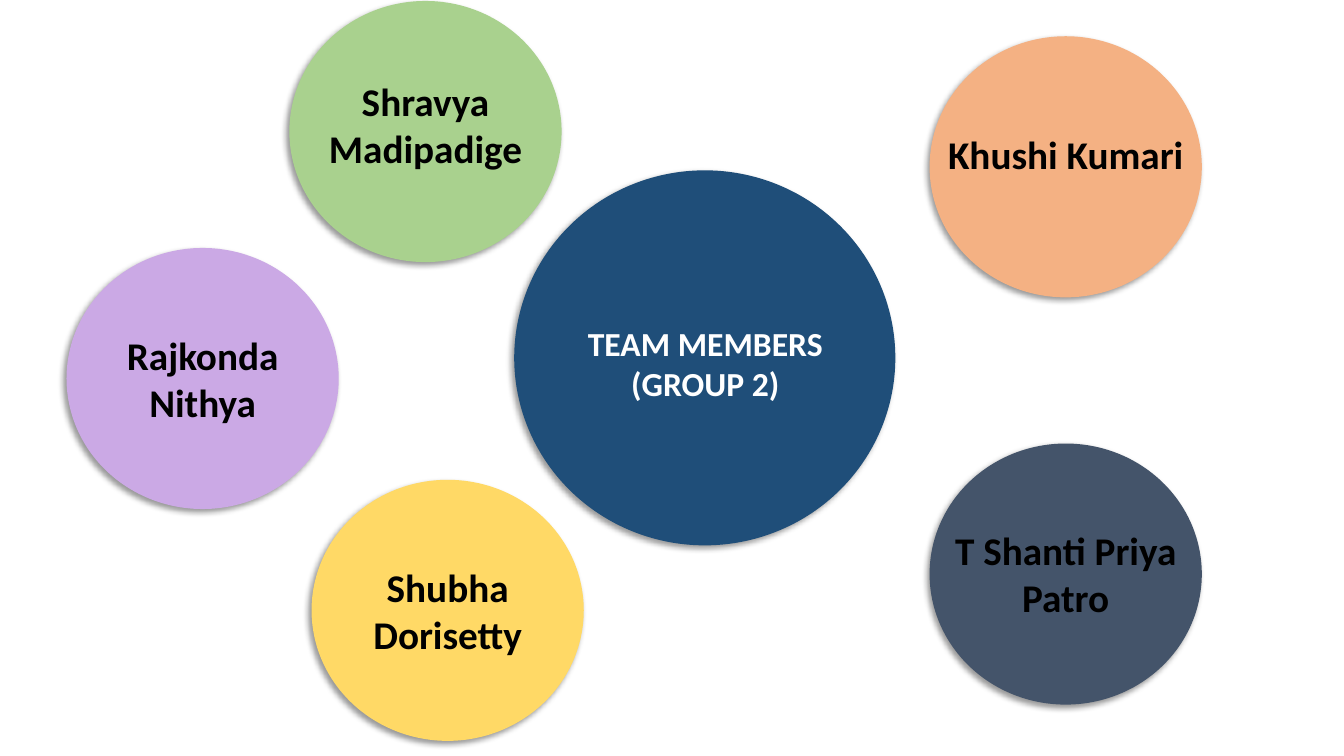
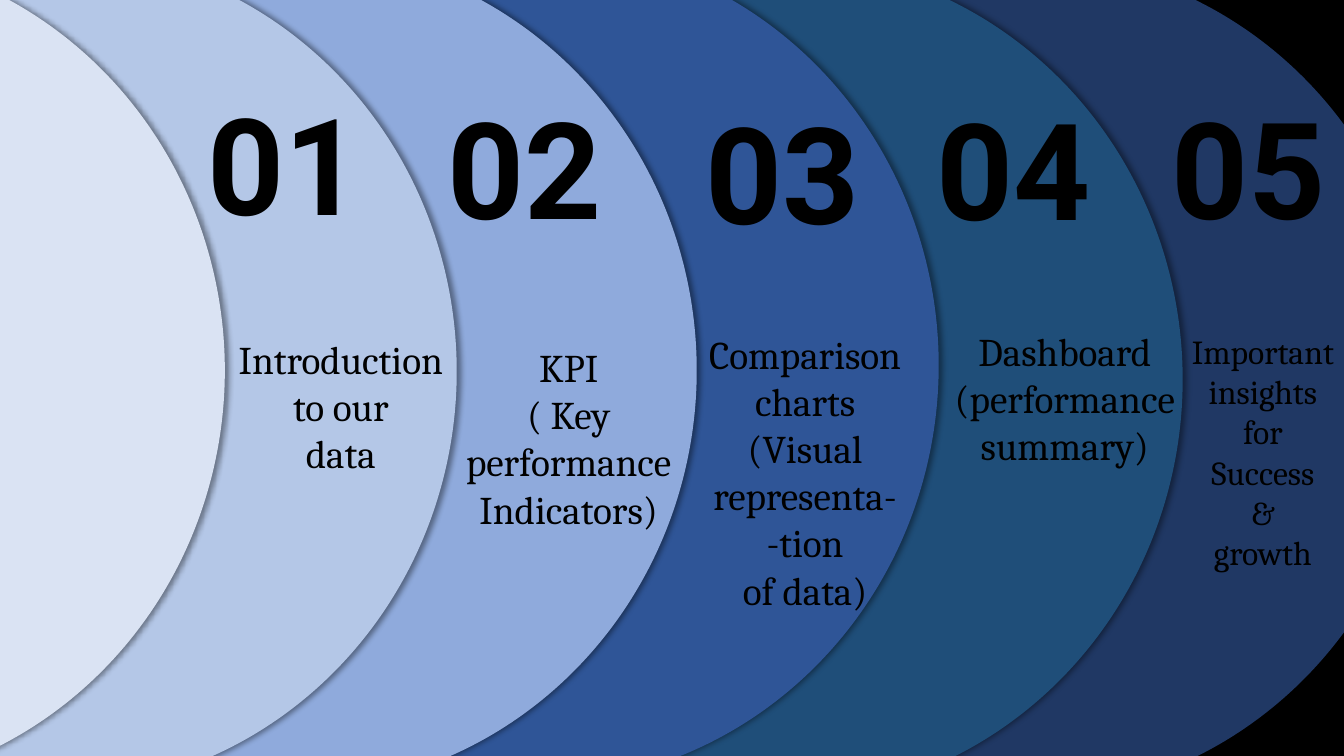
"""Build the team slide and the agenda slide."""
from dataclasses import dataclass

from lxml.etree import SubElement
from pptx import Presentation
from pptx.dml.color import RGBColor
from pptx.enum.shapes import MSO_SHAPE
from pptx.enum.text import MSO_ANCHOR, MSO_AUTO_SIZE, PP_ALIGN
from pptx.oxml.ns import qn
from pptx.util import Pt

PX = 9144


@dataclass(frozen=True)
class Theme:
    """Colours, fonts and type sizes."""
    ink: str = "000000"
    paper: str = "FFFFFF"
    navy: str = "1F4E79"
    sans: str = "Calibri"
    serif: str = "Cambria"
    digit: str = "Roboto"
    small: int = 24
    body: int = 28
    huge: int = 96


theme = Theme()


def add_ball(slide, box, fill, angle):
    """Draw a filled ellipse whose soft shadow falls at an angle."""
    ball = slide.shapes.add_shape(MSO_SHAPE.OVAL, *[n * PX for n in box])
    ball.fill.solid()
    ball.fill.fore_color.rgb = RGBColor.from_string(fill)
    ball.line.fill.background()
    ball.shadow.inherit = False
    effects = ball._element.spPr.find(qn("a:effectLst"))
    shadow = SubElement(effects, qn("a:outerShdw"), blurRad=str(Pt(4)), dist=str(Pt(3)),
                        dir=str(angle * 60000), algn="ctr", rotWithShape="0")
    tint = SubElement(shadow, qn("a:srgbClr"), val=theme.ink)
    SubElement(tint, qn("a:alpha"), val="40000")


def set_text(shape, text, font, size, color=theme.ink, bold=False):
    """Fill a text shape with centred lines in one style."""
    frame = shape.text_frame
    frame.text = text
    frame.word_wrap = True
    frame.auto_size = MSO_AUTO_SIZE.NONE
    frame.vertical_anchor = MSO_ANCHOR.TOP
    for line in frame.paragraphs:
        line.alignment = PP_ALIGN.CENTER
        line.font.name = font
        line.font.size = Pt(size)
        line.font.bold = bold
        line.font.color.rgb = RGBColor.from_string(color)


deck = Presentation()
deck.slide_width = 1333 * PX
deck.slide_height = 750 * PX

team = deck.slides.add_slide(deck.slide_layouts[5])
members = [
    ("Khushi Kumari", 922, 36, 88, "F4B183"),
    ("T Shanti Priya Patro", 922, 440, 77, "44546A"),
    ("Shravya Madipadige", 287, 1, 71, "A9D18E"),
    ("Rajkonda Nithya", 66, 246, 78, "CBA9E5"),
    ("Shubha Dorisetty", 309, 476, 78, "FFD966"),
]
for name, left, top, drop, fill in members:
    add_ball(team, (left, top, 270, 259), fill, 135)
    label = team.shapes.add_textbox(left * PX, (top + drop) * PX, 270 * PX, 104 * PX)
    set_text(label, name, theme.sans, theme.body, bold=True)

add_ball(team, (510, 169, 378, 372), theme.navy, 135)
title = team.shapes.title
title.left, title.top, title.width, title.height = [n * PX for n in (552, 315, 295, 121)]
set_text(title, "TEAM MEMBERS\n(GROUP 2)", theme.sans, theme.small, theme.paper, True)
team.shapes._spTree.append(title._element)

agenda = deck.slides.add_slide(deck.slide_layouts[6])
agenda.background.fill.solid()
agenda.background.fill.fore_color.rgb = RGBColor.from_string(theme.ink)
topics = [
    ("05", (613, -40), "203864", (1135, 79), (1122, 323, 261), theme.small,
     "Important insights\nfor\nSuccess\n&\ngrowth"),
    ("04", (371, -39), theme.navy, (902, 80), (895, 320, 322), theme.body,
     "Dashboard (performance summary)"),
    ("03", (129, -53), "2F5597", (673, 84), (672, 323, 253), theme.body,
     "Comparison\ncharts\n(Visual representa-\n-tion\nof data)"),
    ("02", (-111, -48), "8FAADC", (417, 79), (403, 336, 322), theme.body,
     "KPI\n( Key\nperformance Indicators)"),
    ("01", (-349, -47), "B4C7E7", (179, 76), (177, 328, 322), theme.body,
     "Introduction\nto our\ndata"),
]
for number, spot, fill, head, place, size, text in topics:
    add_ball(agenda, (*spot, 802, 831), fill, 0)
    digits = agenda.shapes.add_textbox(*[n * PX for n in (*head, 207, 172)])
    set_text(digits, number, theme.digit, theme.huge, bold=True)
    label = agenda.shapes.add_textbox(*[n * PX for n in (*place, 293)])
    set_text(label, text, theme.serif, size)
add_ball(agenda, (-579, -48, 802, 831), "DAE3F3", 0)

deck.save("out.pptx")
